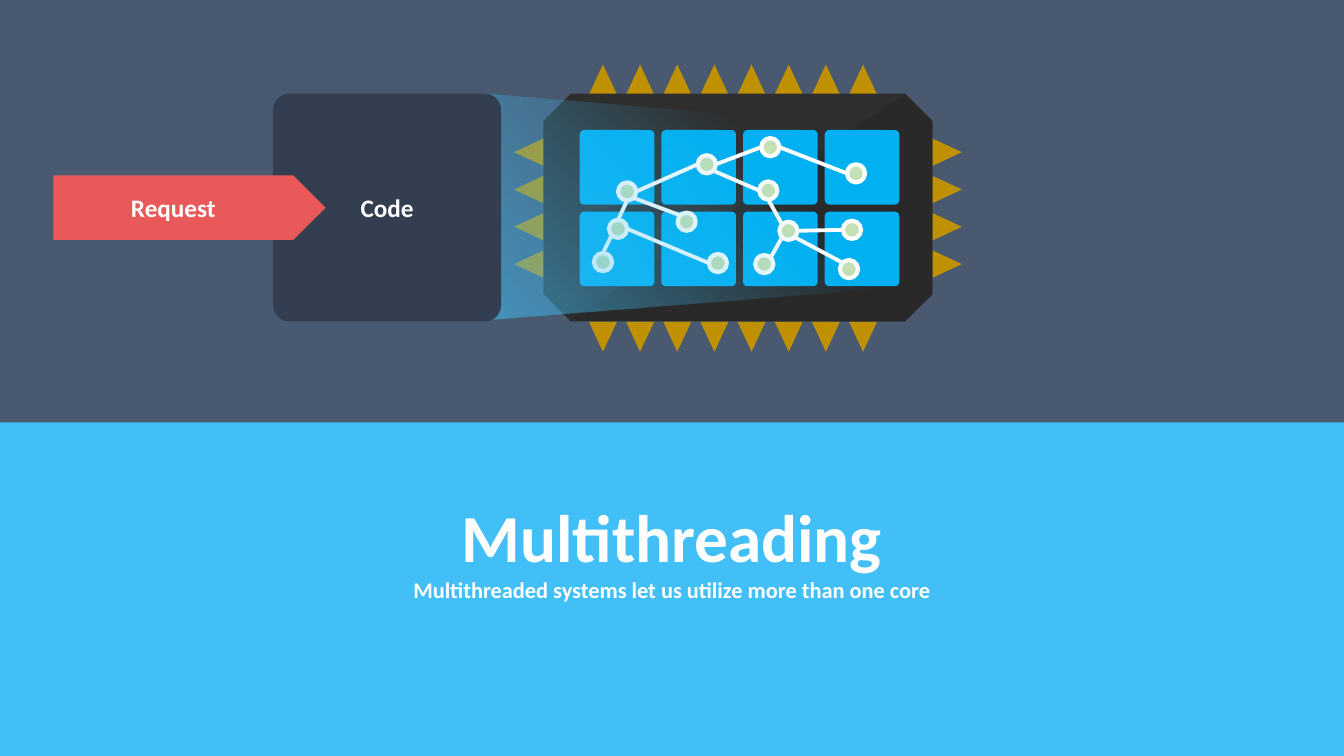
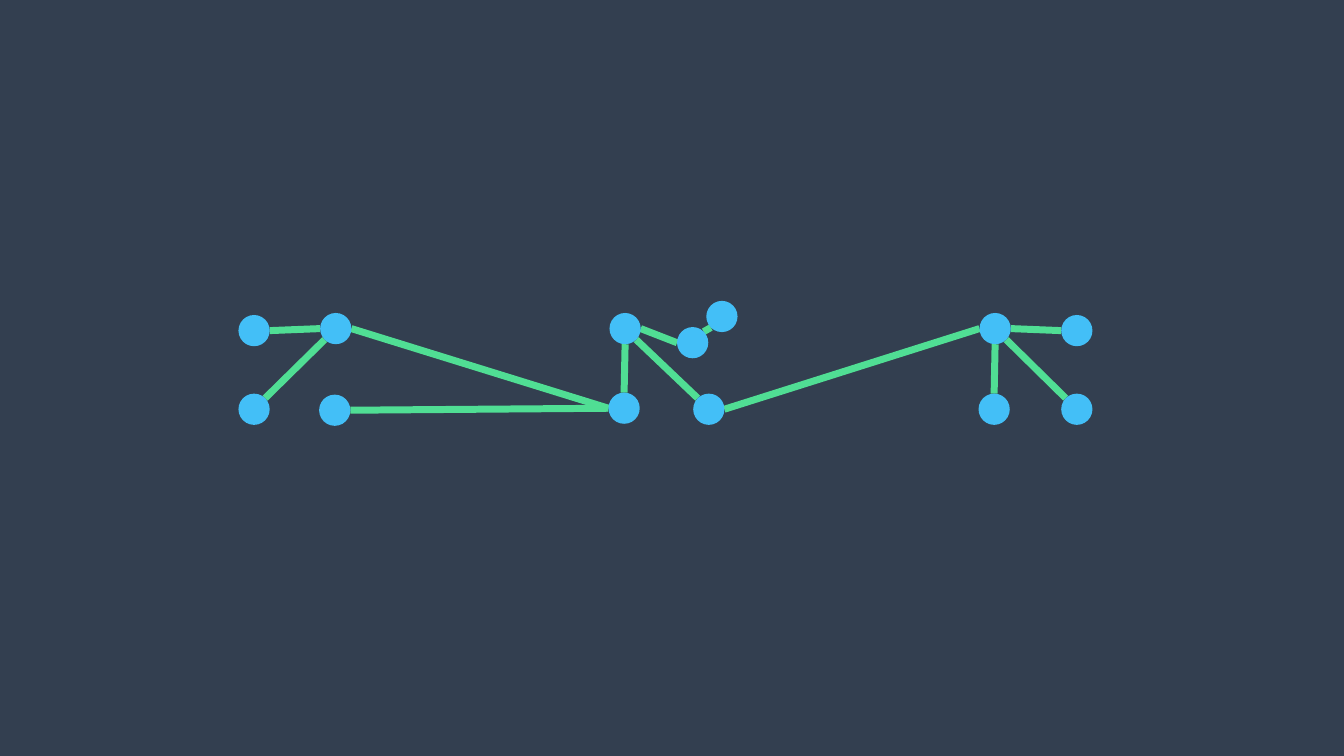
"""Build two slides on multithreading: a multi-core chip and a thread graph."""
from dataclasses import dataclass
from math import cos, radians, sin

from lxml import etree
from pptx import Presentation
from pptx import util as u
from pptx.dml.color import RGBColor
from pptx.enum import shapes, text
from pptx.oxml.ns import qn

SHAPE = shapes.MSO_SHAPE
COMPASS = {"E": 0, "SE": 45, "S": 90, "SW": 135, "W": 180, "NW": 225, "N": 270, "NE": 315}


@dataclass(frozen=True)
class Theme:
    """Colours, font and type sizes shared by the slides."""
    slate: str = "485970"
    navy: str = "333F50"
    sky: str = "43BFF7"
    white: str = "FFFFFF"
    gold: str = "BF9000"
    chip: str = "2E2E2E"
    chip_shade: str = "292929"
    core: str = "00B0F0"
    leaf: str = "C5E0B4"
    coral: str = "E95959"
    green: str = "50DE94"
    font: str = "Calibri"
    title: int = 48
    label: int = 18
    subtitle: int = 16


class Deck:
    """Hold the theme and the current slide, and draw elements on it."""

    def __init__(self, theme):
        """Start an empty widescreen presentation."""
        self.theme = theme
        self.prs = Presentation()
        self.prs.slide_width, self.prs.slide_height = u.Inches(13.33), u.Inches(7.5)

    def slide(self, background):
        """Add a blank slide with a solid background."""
        self.current = self.prs.slides.add_slide(self.prs.slide_layouts[6])
        fill = self.current.background.fill
        fill.solid()
        fill.fore_color.rgb = RGBColor.from_string(background)

    def paint(self, sp, fill, line=None, width=0):
        """Give a shape a flat fill and an optional outline."""
        sp.shadow.inherit = False
        sp.fill.solid()
        sp.fill.fore_color.rgb = RGBColor.from_string(fill)
        if line:
            sp.line.color.rgb = RGBColor.from_string(line)
            sp.line.width = u.Pt(width)
        else:
            sp.line.fill.background()
        return sp

    def shape(self, kind, box, fill, adj=(), line=None, width=0):
        """Draw a preset shape in a left, top, width, height box."""
        sp = self.current.shapes.add_shape(kind, *map(u.Inches, box))
        for i, value in enumerate(adj):
            sp.adjustments[i] = value
        return self.paint(sp, fill, line, width)

    def polygon(self, points, fill):
        """Draw a closed outline through the points."""
        start, *rest = [(u.Inches(x), u.Inches(y)) for x, y in points]
        builder = self.current.shapes.build_freeform(*start)
        builder.add_line_segments(rest, close=True)
        return self.paint(builder.convert_to_shape(), fill)

    def fade(self, sp, color, stops, angle):
        """Fill a shape with one colour at changing opacity."""
        sp.fill.gradient()
        sp.fill.gradient_angle = angle
        for stop, (position, _) in zip(sp.fill.gradient_stops, stops):
            stop.position = position
            stop.color.rgb = RGBColor.from_string(color)
        for clr, (_, opacity) in zip(sp._element.spPr.iter(qn("a:srgbClr")), stops):
            etree.SubElement(clr, qn("a:alpha")).set("val", str(opacity * 1000))

    def caption(self, sp, lines, bottom=0.05):
        """Centre bold lines of (text, size) in a shape."""
        tf = sp.text_frame
        frame = {"word_wrap": True, "vertical_anchor": text.MSO_ANCHOR.MIDDLE,
                 "margin_bottom": u.Inches(bottom)}
        for name, value in frame.items():
            setattr(tf, name, value)
        p = tf.paragraphs[0]
        p.alignment = text.PP_ALIGN.CENTER
        for i, (words, size) in enumerate(lines):
            if i:
                p.add_line_break()
            r = p.add_run()
            r.text = words
            style = {"name": self.theme.font, "size": u.Pt(size), "bold": True}
            for name, value in style.items():
                setattr(r.font, name, value)
            r.font.color.rgb = RGBColor.from_string(self.theme.white)

    def line(self, start, end, color, width):
        """Draw a straight line without a shadow."""
        sp = self.current.shapes.add_connector(
            shapes.MSO_CONNECTOR.STRAIGHT, *map(u.Inches, (*start, *end)))
        sp.line.color.rgb = RGBColor.from_string(color)
        sp.line.width = u.Pt(width)
        etree.SubElement(sp._element.spPr, qn("a:effectLst"))

    def graph(self, nodes, edges, size, fill, color, width, outline=None):
        """Draw edges between compass points of round nodes, then the nodes."""
        def rim(name, side):
            """Return the point of a node's rim on the given side."""
            x, y = nodes[name]
            angle = radians(COMPASS[side])
            return x + size / 2 * cos(angle), y + size / 2 * sin(angle)

        for edge in edges:
            a, a_side, b, b_side = edge.split()
            self.line(rim(a, a_side), rim(b, b_side), color, width)
        for x, y in nodes.values():
            box = (x - size / 2, y - size / 2, size, size)
            self.shape(SHAPE.OVAL, box, fill, line=outline, width=3)

    def pin(self, x, y, dx, dy):
        """Draw a chip pin from its base centre towards (dx, dy)."""
        half, reach = 0.14, 0.3
        base = [(x - half * dy, y - half * dx), (x + half * dy, y + half * dx)]
        self.polygon([(x + reach * dx, y + reach * dy), *base], self.theme.gold)

    def chip(self):
        """Draw the processor with its pins and cores."""
        t = self.theme
        for i in range(8):
            x = 5.98 + i * 2.58 / 7
            self.pin(x, 0.94, 0, -1)
            self.pin(x, 3.19, 0, 1)
        for i in range(4):
            y = 1.51 + 0.37 * i
            self.pin(5.4, y, -1, 0)
            self.pin(9.24, y, 1, 0)
        self.shape(SHAPE.OCTAGON, (5.39, 0.93, 3.86, 2.26), t.chip, [0.12])
        self.polygon([(5.66, 3.18), (8.97, 0.93), (9.24, 1.2), (9.24, 2.93), (8.97, 3.19)],
                     t.chip_shade)
        for row in range(2):
            for col in range(4):
                box = (5.75 + 0.81 * col, 1.29 + 0.81 * row, 0.74, 0.74)
                self.shape(SHAPE.ROUNDED_RECTANGLE, box, t.core, [0.06])


CHIP_NODES = {
    "a": (7.12, 2.61), "b": (6.81, 2.2), "c": (6.13, 2.27), "d": (6.22, 1.9),
    "e": (7.62, 1.89), "f": (7.82, 2.29), "g": (7.58, 2.62), "h": (8.42, 2.67),
    "i": (8.45, 2.28), "j": (7.01, 1.63), "k": (8.49, 1.72), "l": (7.64, 1.46),
    "m": (5.98, 2.6),
}
CHIP_EDGES = [
    "j W d E", "d S c N", "c SW m N", "d SE b NW", "c E a W", "e S f NW",
    "f SW g NE", "f SE h NW", "j SE e W", "f E i W", "l W j E", "l E k W",
]
THREAD_NODES = {
    "a": (2.52, 4.06), "b": (3.32, 4.07), "c": (3.33, 3.26), "d": (6.19, 4.05),
    "e": (7.03, 4.06), "f": (9.87, 3.26), "g": (9.86, 4.06), "h": (10.68, 4.06),
    "i": (10.68, 3.28), "j": (6.2, 3.26), "k": (7.16, 3.14), "l": (6.87, 3.4),
    "m": (2.52, 3.28),
}
THREAD_EDGES = [
    "f W e E", "d W c E", "d W b E", "j S d N", "c W m E", "c SW a NE",
    "f S g N", "f SE h NW", "j SE e NW", "f E i W", "l W j E", "l NE k SW",
]


def chip_slide(deck):
    """Build the slide where code spreads over the cores."""
    t = deck.theme
    deck.slide(t.slate)
    deck.chip()
    deck.graph(CHIP_NODES, CHIP_EDGES, 0.18, t.leaf, t.white, 2.75, outline=t.white)
    band = deck.shape(SHAPE.RECTANGLE, (0, 4.19, 13.33, 3.31), t.sky)
    deck.caption(band, [
        ("Multithreading", t.title),
        ("Multithreaded systems let us utilize more than one core", t.subtitle),
    ], bottom=0.85)
    beam = deck.polygon([(4.81, 0.93), (8.88, 1.27), (8.95, 1.3), (8.98, 1.37),
                         (8.98, 2.75), (8.95, 2.82), (8.88, 2.85), (4.84, 3.17)], t.sky)
    deck.fade(beam, t.sky, [(0, 56), (0.68, 0)], 40)
    code = deck.shape(SHAPE.ROUNDED_RECTANGLE, (2.71, 0.93, 2.26, 2.26), t.navy, [0.07])
    deck.caption(code, [("Code", t.label)])
    request = deck.shape(SHAPE.RIGHT_ARROW, (0.53, 1.74, 2.7, 0.64), t.coral, [1, 0.5])
    deck.caption(request, [("Request", t.label)])


def thread_slide(deck):
    """Build the slide with the thread graph alone."""
    t = deck.theme
    deck.slide(t.navy)
    deck.graph(THREAD_NODES, THREAD_EDGES, 0.31, t.sky, t.green, 5)


deck = Deck(Theme())
chip_slide(deck)
thread_slide(deck)
deck.prs.save("out.pptx")
